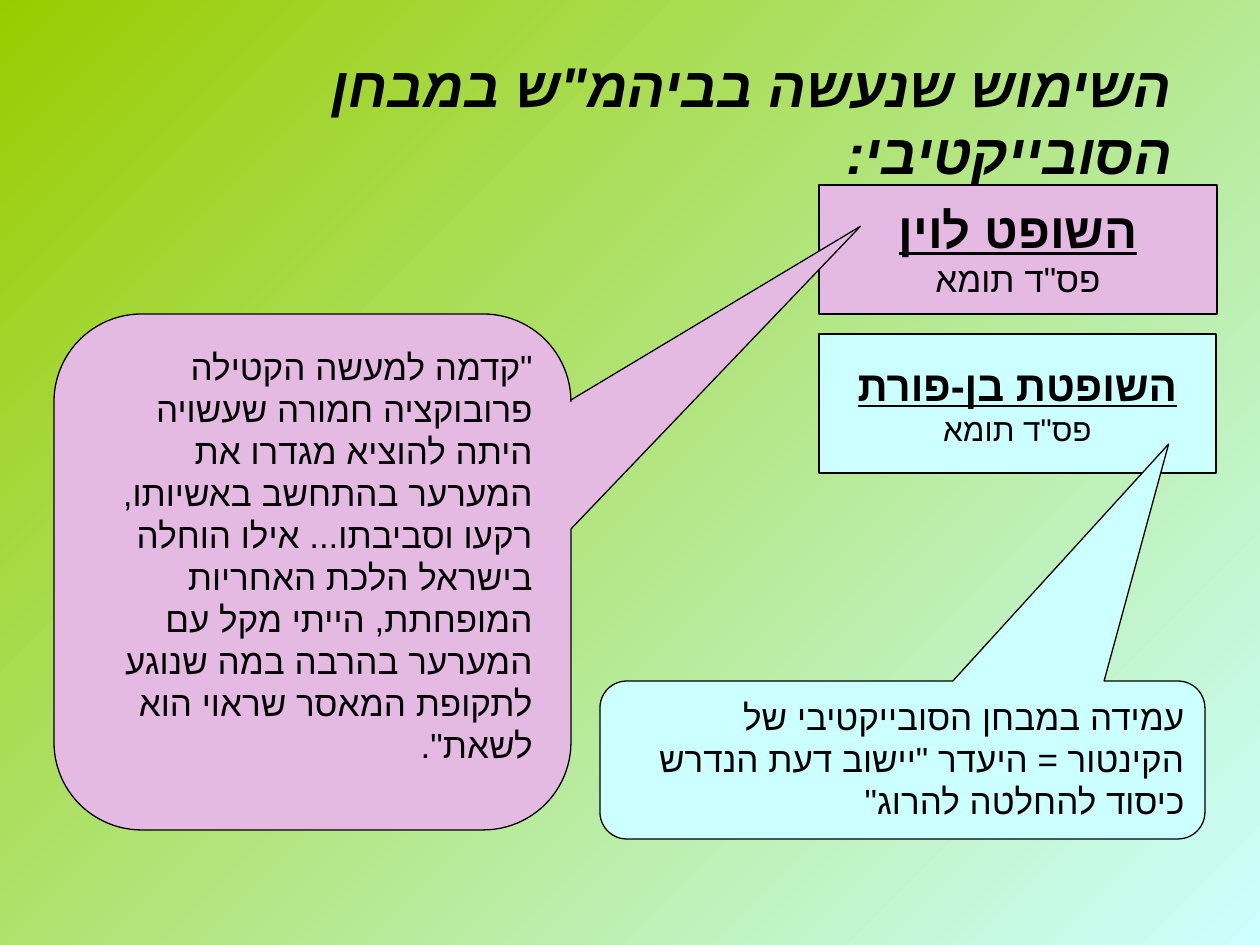
import lxml.etree
import pptx
import pptx.dml.color
import pptx.enum.shapes
import pptx.enum.text
import pptx.oxml.ns
import pptx.util

SCALE = 914400 / 126
FONT = "Arial"
COLORS = {"black": "000000", "cyan": "CCFFFF", "pink": "E4BAE3", "green": "99CC00"}
KINDS = pptx.enum.shapes.MSO_SHAPE
ALIGN = pptx.enum.text.PP_ALIGN
ANCHOR = pptx.enum.text.MSO_ANCHOR

TITLE = {
    "box": (84, 45, 1101, 147),
    "text": "השימוש שנעשה בביהמ\"ש במבחן הסובייקטיבי:",
}
CASE = "פס\"ד תומא"
JUDGES = [
    {"box": (819, 334, 397, 139), "color": "cyan", "name": "השופטת בן-פורת", "sizes": (24, 18)},
    {"box": (819, 185, 398, 129), "color": "pink", "name": "השופט לוין", "sizes": (28, 20)},
]
QUOTES = [
    {
        "box": (600, 681, 605, 158),
        "color": "cyan",
        "adjustments": (0.44, -2, 0.17),
        "text": "עמידה במבחן הסובייקטיבי של הקינטור = היעדר \"יישוב דעת הנדרש כיסוד להחלטה להרוג\"",
    },
    {
        "box": (54, 314, 517, 516),
        "color": "pink",
        "adjustments": (1.06, -0.67, 0.17),
        "text": "\"קדמה למעשה הקטילה פרובוקציה חמורה שעשויה היתה להוציא מגדרו את "
        "המערער בהתחשב באשיותו, רקעו וסביבתו... אילו הוחלה בישראל הלכת האחריות "
        "המופחתת, הייתי מקל עם המערער בהרבה במה שנוגע לתקופת המאסר שראוי הוא לשאת\".",
    },
]


def px(value):
    return pptx.util.Emu(round(value * SCALE))


def rgb(name):
    return pptx.dml.color.RGBColor.from_string(COLORS[name])


def write_paragraph(paragraph, text, size, alignment, bold=False, italic=False, underline=False):
    paragraph.text = text
    paragraph.alignment = alignment
    properties = paragraph._p.get_or_add_pPr()
    properties.set("rtl", "1")
    font = paragraph.font
    font.size = pptx.util.Pt(size)
    font.bold, font.italic, font.underline = bold, italic, underline
    font.color.rgb = rgb("black")
    font.name = FONT
    defaults = properties.find(pptx.oxml.ns.qn("a:defRPr"))
    lxml.etree.SubElement(defaults, pptx.oxml.ns.qn("a:cs"), typeface=FONT)


def add_box(slide, kind, item, anchor):
    shape = slide.shapes.add_shape(kind, *map(px, item["box"]))
    shape.shadow.inherit = False
    shape.fill.solid()
    shape.fill.fore_color.rgb = rgb(item["color"])
    shape.line.color.rgb = rgb("black")
    shape.line.width = pptx.util.Pt(0.75)
    shape.text_frame.word_wrap = True
    shape.text_frame.vertical_anchor = anchor
    return shape


def add_judge(slide, judge):
    frame = add_box(slide, KINDS.FLOWCHART_PROCESS, judge, ANCHOR.MIDDLE).text_frame
    name_size, case_size = judge["sizes"]
    write_paragraph(frame.paragraphs[0], judge["name"], name_size, ALIGN.CENTER, bold=True, underline=True)
    write_paragraph(frame.add_paragraph(), CASE, case_size, ALIGN.CENTER)


def add_quote(slide, quote):
    shape = add_box(slide, KINDS.ROUNDED_RECTANGULAR_CALLOUT, quote, ANCHOR.TOP)
    for index, value in enumerate(quote["adjustments"]):
        shape.adjustments[index] = value
    write_paragraph(shape.text_frame.paragraphs[0], quote["text"], 20, ALIGN.RIGHT)


def add_title(slide):
    title = slide.shapes.title
    title.left, title.top, title.width, title.height = map(px, TITLE["box"])
    frame = title.text_frame
    frame.word_wrap = True
    frame.auto_size = pptx.enum.text.MSO_AUTO_SIZE.NONE
    frame.vertical_anchor = ANCHOR.TOP
    write_paragraph(frame.paragraphs[0], TITLE["text"], 32, ALIGN.RIGHT, bold=True, italic=True)
    title.element.getparent().append(title.element)


def paint_background(slide):
    fill = slide.background.fill
    fill.gradient()
    fill.gradient_angle = 135
    for stop, name in zip(fill.gradient_stops, ("cyan", "green")):
        stop.color.rgb = rgb(name)


def main():
    presentation = pptx.Presentation()
    presentation.slide_width, presentation.slide_height = px(1260), px(945)
    slide = presentation.slides.add_slide(presentation.slide_layouts[5])
    paint_background(slide)
    for judge, quote in zip(JUDGES, QUOTES):
        add_judge(slide, judge)
        add_quote(slide, quote)
    add_title(slide)
    presentation.save("out.pptx")


if __name__ == "__main__":
    main()
